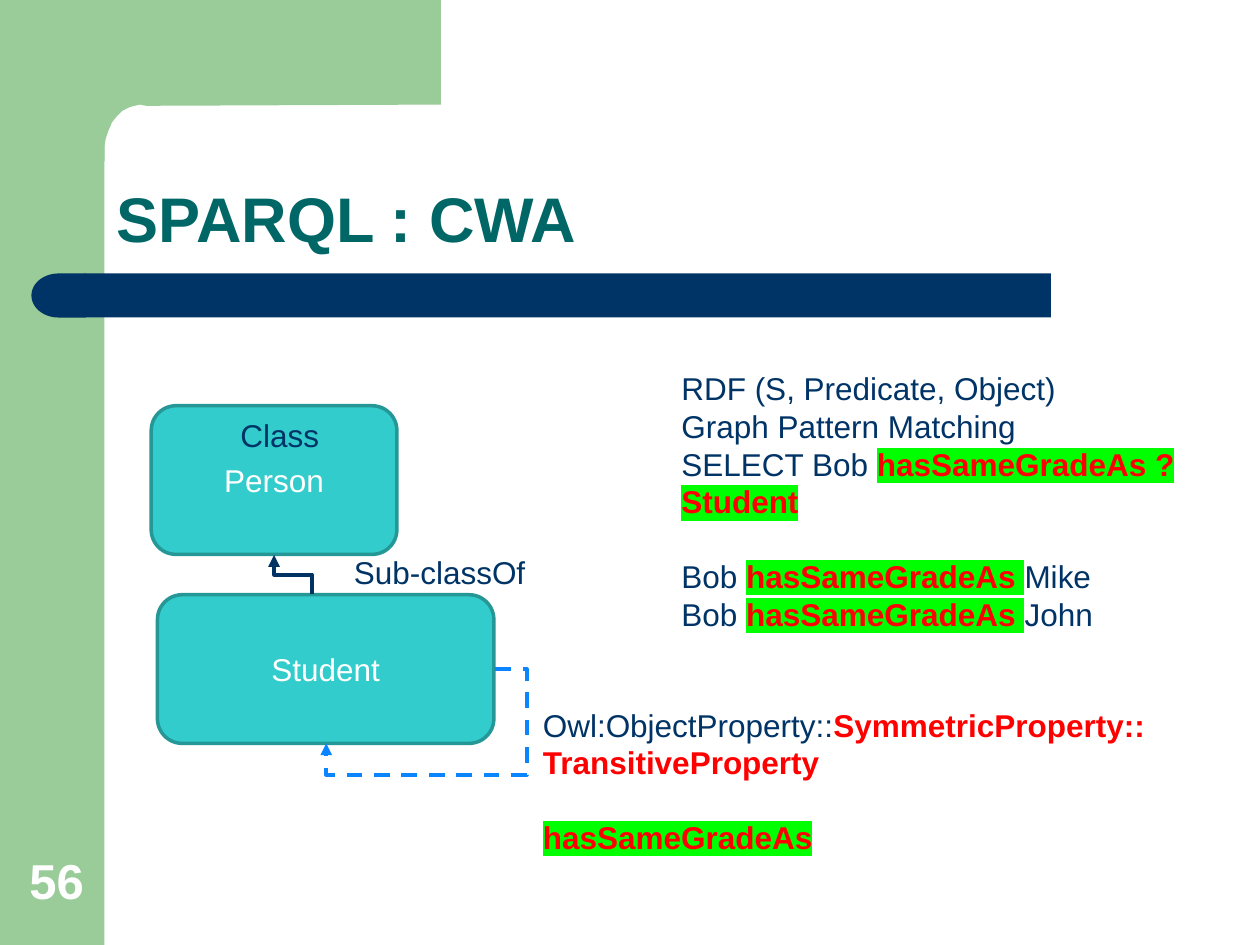
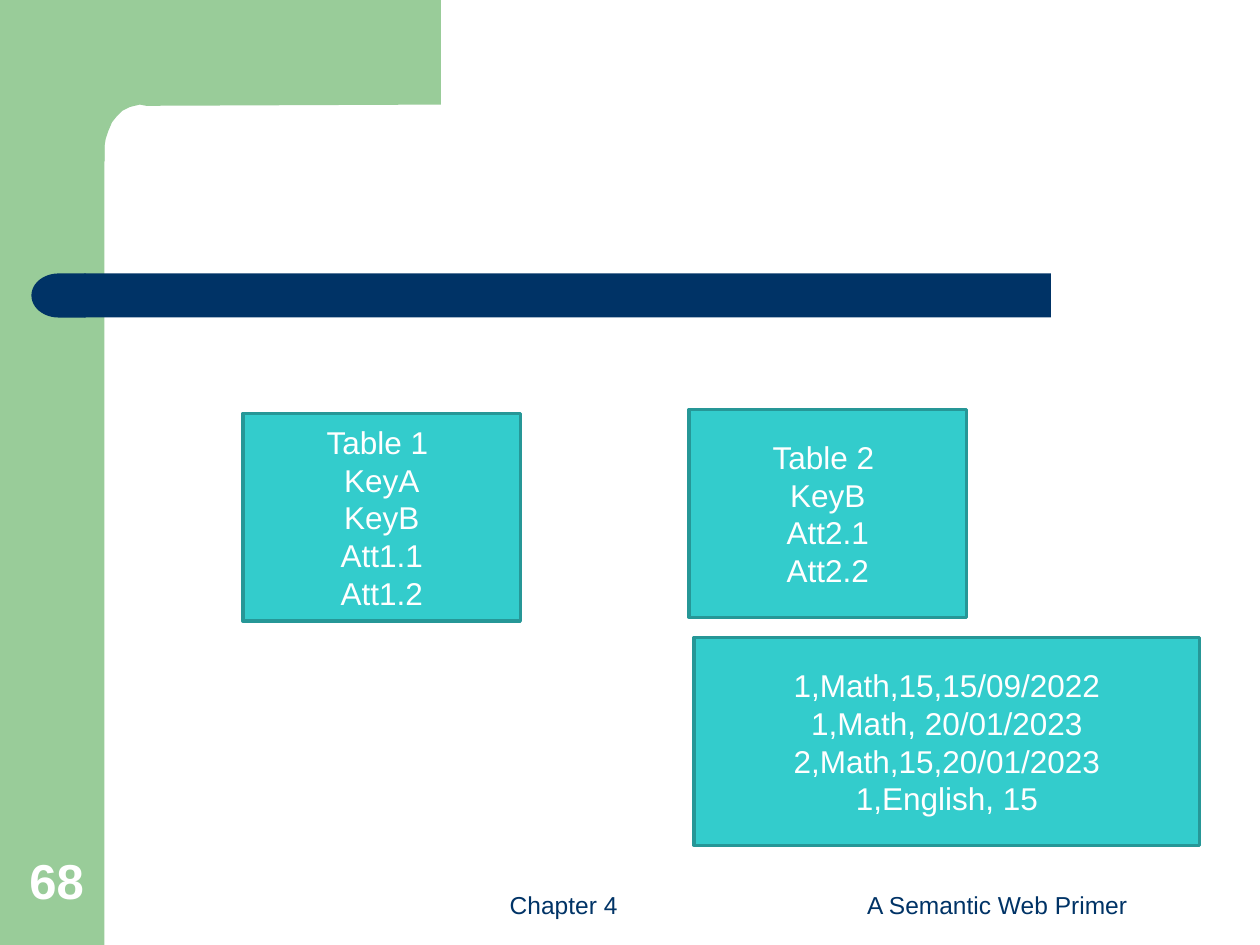
from lxml.etree import SubElement as Sub
from pptx import Presentation
from pptx.dml.color import RGBColor
from pptx.enum.dml import MSO_LINE
from pptx.enum.shapes import MSO_CONNECTOR as Conn, MSO_SHAPE as Geo
from pptx.enum.text import MSO_ANCHOR as Anchor, PP_ALIGN as Align
from pptx.oxml.ns import qn
from pptx.util import Inches, Pt

# Colours and font
GREEN = RGBColor(0x99, 0xCC, 0x99)
NAVY = RGBColor(0x00, 0x33, 0x66)
INK = RGBColor(0x00, 0x32, 0x64)
PINE = RGBColor(0x00, 0x66, 0x66)
TEAL = RGBColor(0x33, 0xCC, 0xCC)
EDGE = RGBColor(0x26, 0x97, 0x97)
BLUE = RGBColor(0x0A, 0x85, 0xFF)
RED = RGBColor(0xFF, 0x00, 0x00)
LIME = RGBColor(0x00, 0xFF, 0x00)
WHITE = RGBColor(0xFF, 0xFF, 0xFF)
FONT = "Arial"
GAP = Pt(21)

# Content: a line is a string or a list of (text, look) runs
PLAIN, HOT, MARK = "plain", "hot", "mark"
GRADE = ("hasSameGradeAs ", MARK)
QUERY = [
    "RDF (S, Predicate, Object)",
    "Graph Pattern Matching",
    [("SELECT Bob ", PLAIN), ("hasSameGradeAs ?Student", MARK)],
    [("Bob ", PLAIN), GRADE, ("Mike", PLAIN)],
    [("Bob ", PLAIN), GRADE, ("John", PLAIN)],
]
RULE = [
    [("Owl:ObjectProperty::", PLAIN),
     ("SymmetricProperty:: TransitiveProperty", HOT)],
    [("hasSameGradeAs", MARK)],
]
# Text blocks: place, lines, wraps, line that follows a gap
NOTES = [
    ((2.71, 4.34, 1.58, 0.4), ["Sub-classOf"], False, None),
    ((4.21, 5.55, 5.21, 1.31), RULE, True, 1),
    ((1.81, 3.25, 0.83, 0.4), ["Class"], False, None),
    ((5.31, 2.88, 4.57, 2.52), QUERY, True, 3),
]
NODES = [
    ((1.25, 4.72, 2.67, 1.18), ["Student"]),
    ((1.2, 3.22, 1.95, 1.18), ["Person"]),
]
TABLES = [
    ((1.93, 3.28, 2.2, 1.65), ["Table 1 ", "KeyA", "KeyB", "Att1.1", "Att1.2"]),
    ((5.47, 3.25, 2.2, 1.65), ["Table 2 ", "KeyB", "Att2.1", "Att2.2"]),
    ((5.51, 5.06, 4.01, 1.65), ["1,Math,15,15/09/2022", "1,Math, 20/01/2023",
                                "2,Math,15,20/01/2023", "1,English, 15"]),
]
FOOTS = [
    ((2.67, 6.83, 2.33, 0.52), "Chapter 4", Align.RIGHT),
    ((6.33, 6.83, 3.17, 0.52), "A Semantic Web Primer", Align.CENTER),
]
CORNER = [
    (3.5, 0), (3.5, 0.83), (1.16, 0.84), (1.11, 0.83), (1.03, 0.85),
    (0.97, 0.88), (0.93, 0.92), (0.89, 0.97), (0.86, 1.04), (0.84, 1.1),
    (0.83, 1.16), (0.83, 1.28), (0.5, 1.28), (0.5, 0),
]


def inches(place):
    return [Inches(n) for n in place]


def paint(shape, fill, edge=None):
    shape.shadow.inherit = False
    shape.fill.solid()
    shape.fill.fore_color.rgb = fill
    if edge is None:
        shape.line.fill.background()
    else:
        shape.line.color.rgb = edge
        shape.line.width = Pt(2)


def style(run, look, color):
    font = run.font
    font.color.rgb = color if look == PLAIN else RED
    if look != PLAIN:
        font.bold = True
    if look == MARK:
        props = run._r.get_or_add_rPr()
        mark = Sub(props, qn("a:highlight"))
        Sub(mark, qn("a:srgbClr"), val=str(LIME))
        props.find(qn("a:solidFill")).addnext(mark)


def write(frame, lines, color=NAVY, size=18, align=Align.LEFT, bold=False,
          gap=None):
    for i, line in enumerate(lines):
        para = frame.paragraphs[0] if i == 0 else frame.add_paragraph()
        para.alignment = align
        para.font.name, para.font.size, para.font.bold = FONT, Pt(size), bold
        if i == gap:
            para.space_before = GAP
        for text, look in [(line, PLAIN)] if isinstance(line, str) else line:
            run = para.add_run()
            run.text = text
            style(run, look, color)


def label(slide, place, lines, wrap=True, anchor=Anchor.TOP, **look):
    frame = slide.shapes.add_textbox(*inches(place)).text_frame
    frame.word_wrap = wrap
    frame.vertical_anchor = anchor
    write(frame, lines, **look)
    return frame


def box(slide, geo, place, lines):
    shape = slide.shapes.add_shape(geo, *inches(place))
    paint(shape, TEAL, EDGE)
    shape.text_frame.vertical_anchor = Anchor.MIDDLE
    write(shape.text_frame, lines, WHITE, align=Align.CENTER)


def arrow(slide, ends, color, dash=None):
    link = slide.shapes.add_connector(Conn.ELBOW, *inches(ends))
    link.line.color.rgb = color
    link.line.width = Pt(2.25)
    if dash:
        link.line.dash_style = dash
    props = link.element.spPr
    Sub(props.find(qn("a:ln")), qn("a:tailEnd"), type="triangle")
    Sub(props, qn("a:effectLst"))
    return props


def base(deck, number):
    """Add a slide with the green frame, navy bar and page number."""
    slide = deck.slides.add_slide(deck.slide_layouts[6])
    shapes = slide.shapes
    paint(shapes.add_shape(Geo.RECTANGLE, *inches((0, 0, 0.83, 7.5))), GREEN)
    points = [inches(p) for p in CORNER]
    build = shapes.build_freeform(*points[0])
    build.add_line_segments(points[1:])
    paint(build.convert_to_shape(), GREEN)
    paint(shapes.add_shape(Geo.RECTANGLE, *inches((0.67, 2.17, 7.67, 0.35))), NAVY)
    cap = shapes.add_shape(Geo.FLOWCHART_DELAY, *inches((0.25, 2.17, 0.43, 0.35)))
    cap.element.spPr.find(qn("a:xfrm")).set("flipH", "1")
    paint(cap, NAVY)
    label(slide, (0, 6.74, 0.9, 0.53), [number], anchor=Anchor.BOTTOM,
          color=WHITE, size=28, align=Align.CENTER, bold=True)
    return slide


def classes(deck):
    slide = base(deck, "56")
    title = label(slide, (0.83, 0.83, 8.67, 1.25), ["SPARQL : CWA"],
                  anchor=Anchor.BOTTOM, color=PINE, size=36, bold=True)
    title.paragraphs[0].line_spacing = 0.9
    for place, lines in NODES:
        box(slide, Geo.ROUNDED_RECTANGLE, place, lines)

    # Subclass arrow, turned to leave upwards
    props = arrow(slide, (2.17, 4.71, 2.48, 4.41), INK)
    props.find(qn("a:xfrm")).set("rot", str(270 * 60000))

    # Loop from the right side of Student to its bottom
    props = arrow(slide, (3.93, 5.31, 2.59, 5.9), BLUE, MSO_LINE.DASH)
    geom = props.find(qn("a:prstGeom"))
    geom.set("prst", "bentConnector4")
    bends = geom.find(qn("a:avLst"))
    if bends is None:
        bends = Sub(geom, qn("a:avLst"))
    for name, value in (("adj1", -18700), ("adj2", 142300)):
        Sub(bends, qn("a:gd"), name=name, fmla=f"val {value}")

    for place, lines, wrap, gap in NOTES:
        label(slide, place, lines, wrap, gap=gap)


def tables(deck):
    slide = base(deck, "68")
    for place, text, align in FOOTS:
        label(slide, place, [text], anchor=Anchor.BOTTOM, size=14, align=align)
    for place, lines in TABLES:
        box(slide, Geo.RECTANGLE, place, lines)


def main():
    deck = Presentation()
    deck.slide_width, deck.slide_height = Inches(10), Inches(7.5)
    classes(deck)
    tables(deck)
    deck.save("out.pptx")


if __name__ == "__main__":
    main()
